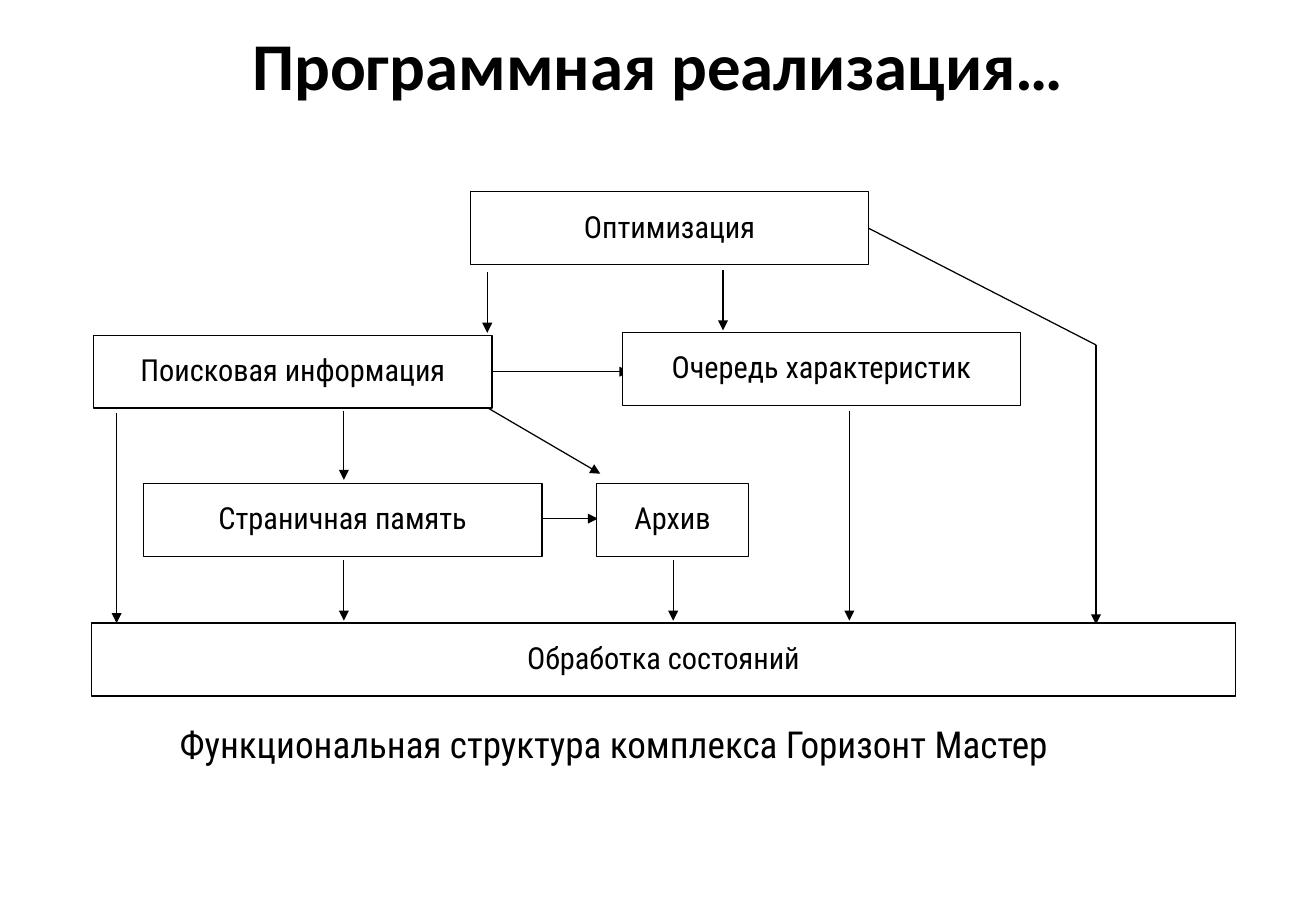
from pptx import Presentation
from pptx.dml.color import RGBColor
from pptx.enum.shapes import MSO_CONNECTOR, MSO_SHAPE
from pptx.enum.text import MSO_ANCHOR, PP_ALIGN
from pptx.oxml.ns import qn
from pptx.util import Inches, Pt
from lxml import etree

RECTANGLE = MSO_SHAPE.RECTANGLE
STRAIGHT = MSO_CONNECTOR.STRAIGHT
CENTER, LEFT = PP_ALIGN.CENTER, PP_ALIGN.LEFT
TOP, MIDDLE = MSO_ANCHOR.TOP, MSO_ANCHOR.MIDDLE
TITLE_ONLY = 5
BLACK, WHITE = "000000", "FFFFFF"
TITLE_FONT, BODY_FONT = "Calibri", "Roboto Condensed"
LINE_WIDTH = Pt(0.75)


def color(hex_value):
    return RGBColor.from_string(hex_value)


def write(shape, text, size, font, align, anchor, bold=False):
    """Put one formatted run into the shape."""
    frame = shape.text_frame
    frame.word_wrap = True
    frame.vertical_anchor = anchor
    paragraph = frame.paragraphs[0]
    paragraph.alignment = align
    run = paragraph.add_run()
    run.text = text
    run.font.size = Pt(size)
    run.font.name = font
    run.font.bold = bold
    run.font.color.rgb = color(BLACK)


deck = Presentation()
deck.slide_width, deck.slide_height = Inches(10.83), Inches(7.5)
slide = deck.slides.add_slide(deck.slide_layouts[TITLE_ONLY])

title = slide.shapes.title
title.left, title.top = Inches(0.45), Inches(0.22)
title.width, title.height = Inches(9.93), Inches(0.61)
write(title, "Программная реализация…", 39.6, TITLE_FONT, CENTER, MIDDLE, bold=True)

# Links: start x, start y, end x, end y, arrowhead
links = [
    (4.05, 3.06, 5.18, 3.06, True),
    (4.01, 2.24, 4.01, 2.74, True),
    (5.95, 2.22, 5.95, 2.72, True),
    (7.15, 1.88, 9.02, 2.84, False),
    (9.02, 2.84, 9.02, 5.14, True),
    (0.96, 3.4, 0.96, 5.13, True),
    (2.83, 3.38, 2.83, 3.95, True),
    (4.0, 3.35, 4.94, 3.9, True),
    (4.47, 4.27, 4.92, 4.27, True),
    (2.83, 4.61, 2.83, 5.11, True),
    (5.54, 4.61, 5.54, 5.11, True),
    (6.99, 3.38, 6.99, 5.11, True),
]
for *ends, has_arrowhead in links:
    link = slide.shapes.add_connector(STRAIGHT, *map(Inches, ends))
    link.line.color.rgb = color(BLACK)
    link.line.width = LINE_WIDTH
    if has_arrowhead:
        etree.SubElement(link.line._get_or_add_ln(), qn("a:tailEnd"), type="triangle")
    etree.SubElement(link._element.spPr, qn("a:effectLst"))

# Modules: name, left, top, width
MODULE_WIDTH, MODULE_HEIGHT = 3.28, 0.6
modules = [
    ("Оптимизация", 3.87, 1.58, MODULE_WIDTH),
    ("Поисковая информация", 0.77, 2.76, MODULE_WIDTH),
    ("Очередь характеристик", 5.12, 2.74, MODULE_WIDTH),
    ("Страничная память", 1.18, 3.98, MODULE_WIDTH),
    ("Архив", 4.91, 3.98, 1.25),
    ("Обработка состояний", 0.75, 5.13, 9.42),
]
for name, left, top, width in modules:
    module = slide.shapes.add_shape(
        RECTANGLE, Inches(left), Inches(top), Inches(width), Inches(MODULE_HEIGHT))
    module.shadow.inherit = False
    module.fill.solid()
    module.fill.fore_color.rgb = color(WHITE)
    module.line.color.rgb = color(BLACK)
    module.line.width = LINE_WIDTH
    frame = module.text_frame
    frame.margin_left = frame.margin_right = Inches(0.06)
    frame.margin_top, frame.margin_bottom = Inches(0.13), Inches(0.05)
    write(module, name, 18, BODY_FONT, CENTER, TOP)

caption = slide.shapes.add_textbox(Inches(1.38), Inches(5.89), Inches(8.33), Inches(0.61))
write(caption, "Функциональная структура комплекса Горизонт Мастер", 22, BODY_FONT, LEFT, TOP)

deck.save("out.pptx")
